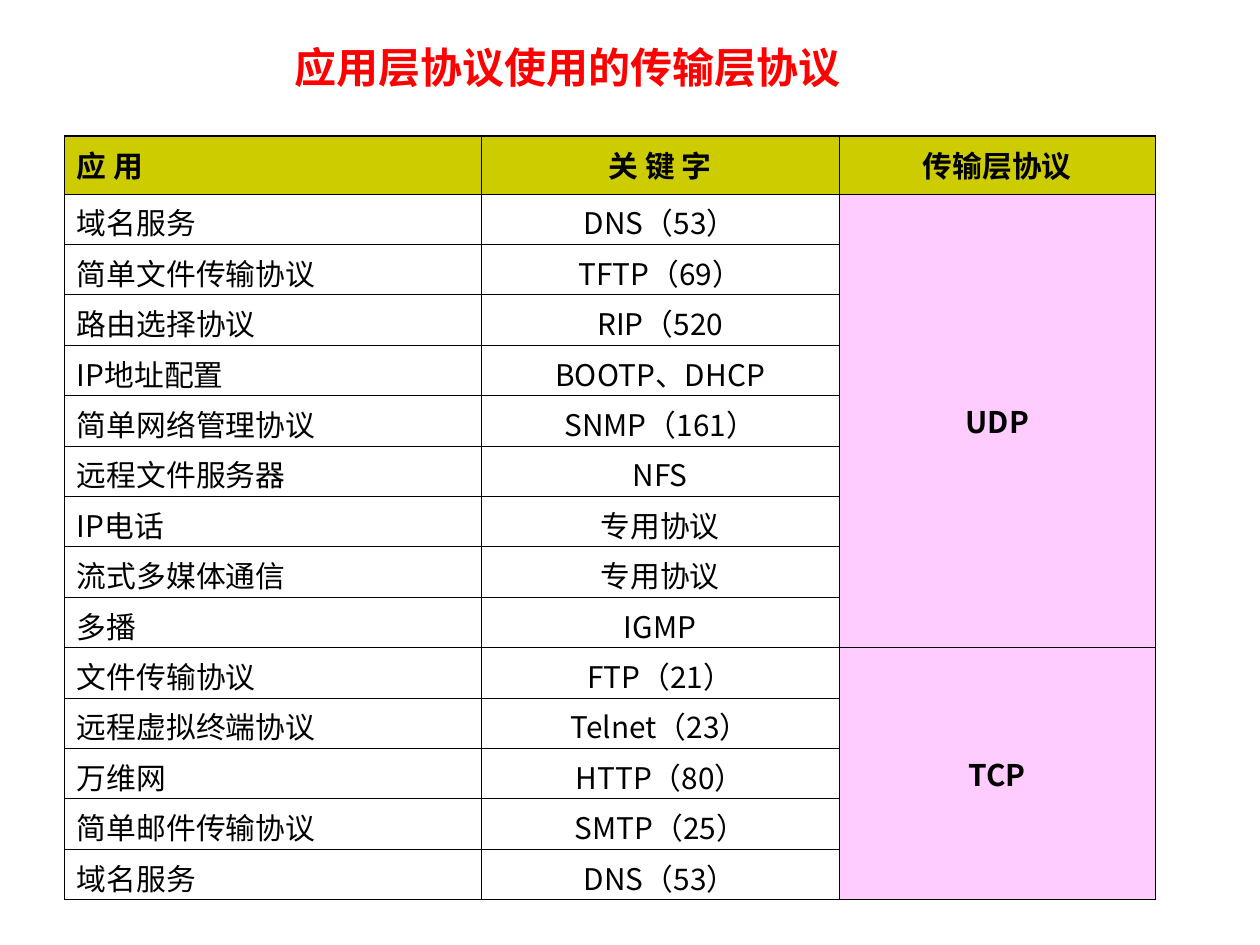
from typing import NamedTuple

from lxml import etree
from pptx import Presentation
from pptx import util as u
from pptx.dml.color import RGBColor
from pptx.enum import text
from pptx.oxml import ns

FONT = "Noto Sans CJK SC"
BLACK, RED, OLIVE, PINK = "000000", "FF0000", "CCCC00", "FFCCFF"
OUTER_SIDE, OUTER_EDGE, INNER = 0.34, 0.96, 0.45
COLUMN_WIDTHS = (3.31, 2.84, 2.51)
HEADER_HEIGHT, ROW_HEIGHT = 0.46, 0.4
HEADERS = ("应 用", "关 键 字", "传输层协议")


class Application(NamedTuple):
    name: str
    keyword: str


class Transport(NamedTuple):
    name: str
    applications: tuple[Application, ...]


TRANSPORTS = (
    Transport("UDP", (
        Application("域名服务", "DNS（53）"),
        Application("简单文件传输协议", "TFTP（69）"),
        Application("路由选择协议", "RIP（520"),
        Application("IP地址配置", "BOOTP、DHCP"),
        Application("简单网络管理协议", "SNMP（161）"),
        Application("远程文件服务器", "NFS"),
        Application("IP电话", "专用协议"),
        Application("流式多媒体通信", "专用协议"),
        Application("多播", "IGMP"),
    )),
    Transport("TCP", (
        Application("文件传输协议", "FTP（21）"),
        Application("远程虚拟终端协议", "Telnet（23）"),
        Application("万维网", "HTTP（80）"),
        Application("简单邮件传输协议", "SMTP（25）"),
        Application("域名服务", "DNS（53）"),
    )),
)


def color(value: str) -> RGBColor:
    return RGBColor.from_string(value)


def write(frame, content: str, size: float, ink: str, bold: bool, centered: bool = False) -> None:
    frame.text = content
    paragraph = frame.paragraphs[0]
    paragraph.alignment = text.PP_ALIGN.CENTER if centered else text.PP_ALIGN.LEFT
    font = paragraph.runs[0].font
    font.size, font.bold = u.Pt(size), bold
    font.color.rgb = color(ink)
    font.name = FONT
    properties = paragraph.runs[0]._r.get_or_add_rPr()
    etree.SubElement(properties, ns.qn("a:ea"), typeface=FONT)


def set_borders(cell, left: float, right: float, top: float, bottom: float) -> None:
    """Draw the four black cell borders, with widths in points."""
    properties = cell._tc.get_or_add_tcPr()
    widths = {"a:lnL": left, "a:lnR": right, "a:lnT": top, "a:lnB": bottom}
    for index, (tag, width) in enumerate(widths.items()):
        line = etree.Element(ns.qn(tag), w=str(int(u.Pt(width))))
        fill = etree.SubElement(line, ns.qn("a:solidFill"))
        etree.SubElement(fill, ns.qn("a:srgbClr"), val=BLACK)
        properties.insert(index, line)


def fill_cell(table, row: int, column: int, content: str, fill: str | None = None,
              bold: bool = False, span: int = 1) -> None:
    cell = table.cell(row, column)
    last_row = row + span - 1
    if span > 1:
        cell.merge(table.cell(last_row, column))
        cell.vertical_anchor = text.MSO_ANCHOR.MIDDLE
    else:
        cell.margin_bottom = u.Inches(0)  # lets one line fit the row height
    write(cell.text_frame, content, 17, BLACK, bold, centered=column > 0)
    if fill:
        cell.fill.solid()
        cell.fill.fore_color.rgb = color(fill)
    else:
        cell.fill.background()
    set_borders(
        cell,
        left=OUTER_SIDE if column == 0 else INNER,
        right=OUTER_SIDE if column == len(table.columns) - 1 else INNER,
        top=OUTER_EDGE if row == 0 else INNER,
        bottom=OUTER_EDGE if last_row == len(table.rows) - 1 else INNER,
    )


def add_title(slide) -> None:
    box = slide.shapes.add_textbox(u.Inches(2.24), u.Inches(0.28), u.Inches(4.8), u.Inches(0.5))
    frame = box.text_frame
    frame.word_wrap = True
    frame.vertical_anchor = text.MSO_ANCHOR.MIDDLE
    write(frame, "应用层协议使用的传输层协议", 24, RED, True)


def add_protocol_table(slide) -> None:
    count = sum(len(transport.applications) for transport in TRANSPORTS)
    table = slide.shapes.add_table(
        count + 1, len(HEADERS), u.Inches(0.51), u.Inches(1.08),
        u.Inches(sum(COLUMN_WIDTHS)), u.Inches(HEADER_HEIGHT + count * ROW_HEIGHT),
    ).table
    table.first_row = table.horz_banding = False
    for column, width in zip(table.columns, COLUMN_WIDTHS):
        column.width = u.Inches(width)
    for index, row in enumerate(table.rows):
        row.height = u.Inches(ROW_HEIGHT if index else HEADER_HEIGHT)

    for column, header in enumerate(HEADERS):
        fill_cell(table, 0, column, header, OLIVE, bold=True)
    first = 1
    for transport in TRANSPORTS:
        span = len(transport.applications)
        fill_cell(table, first, 2, transport.name, PINK, bold=True, span=span)
        for row, application in enumerate(transport.applications, first):
            fill_cell(table, row, 0, application.name)
            fill_cell(table, row, 1, application.keyword)
        first += span


def main() -> None:
    presentation = Presentation()
    presentation.slide_width, presentation.slide_height = u.Inches(10), u.Inches(7.5)
    slide = presentation.slides.add_slide(presentation.slide_layouts[6])
    add_title(slide)
    add_protocol_table(slide)
    presentation.save("out.pptx")


if __name__ == "__main__":
    main()
